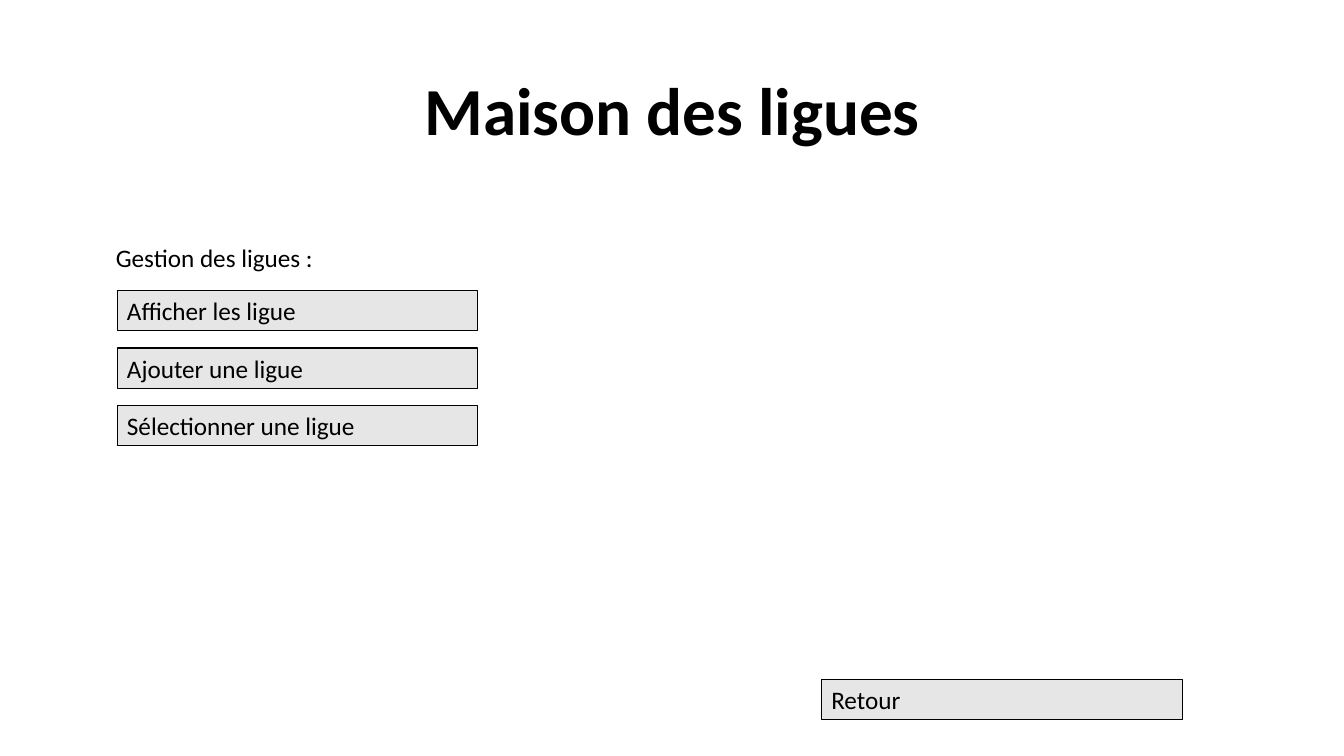
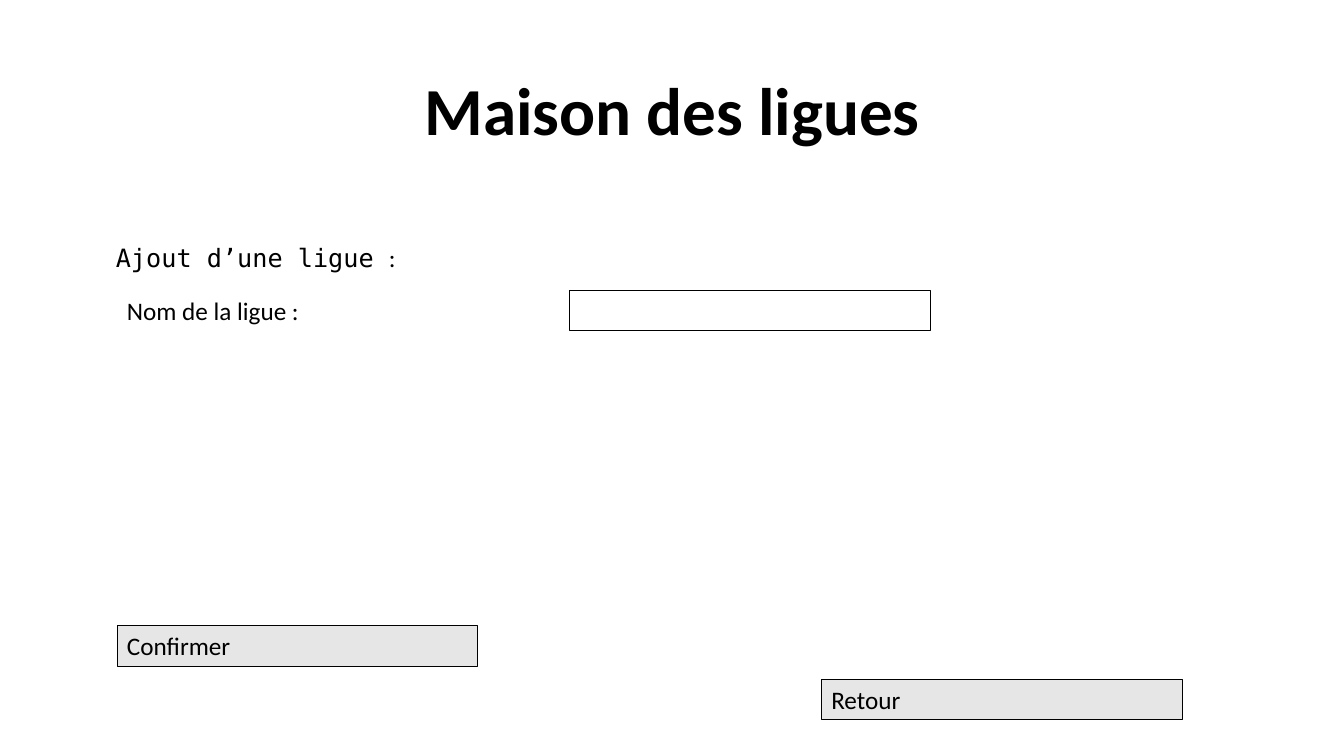
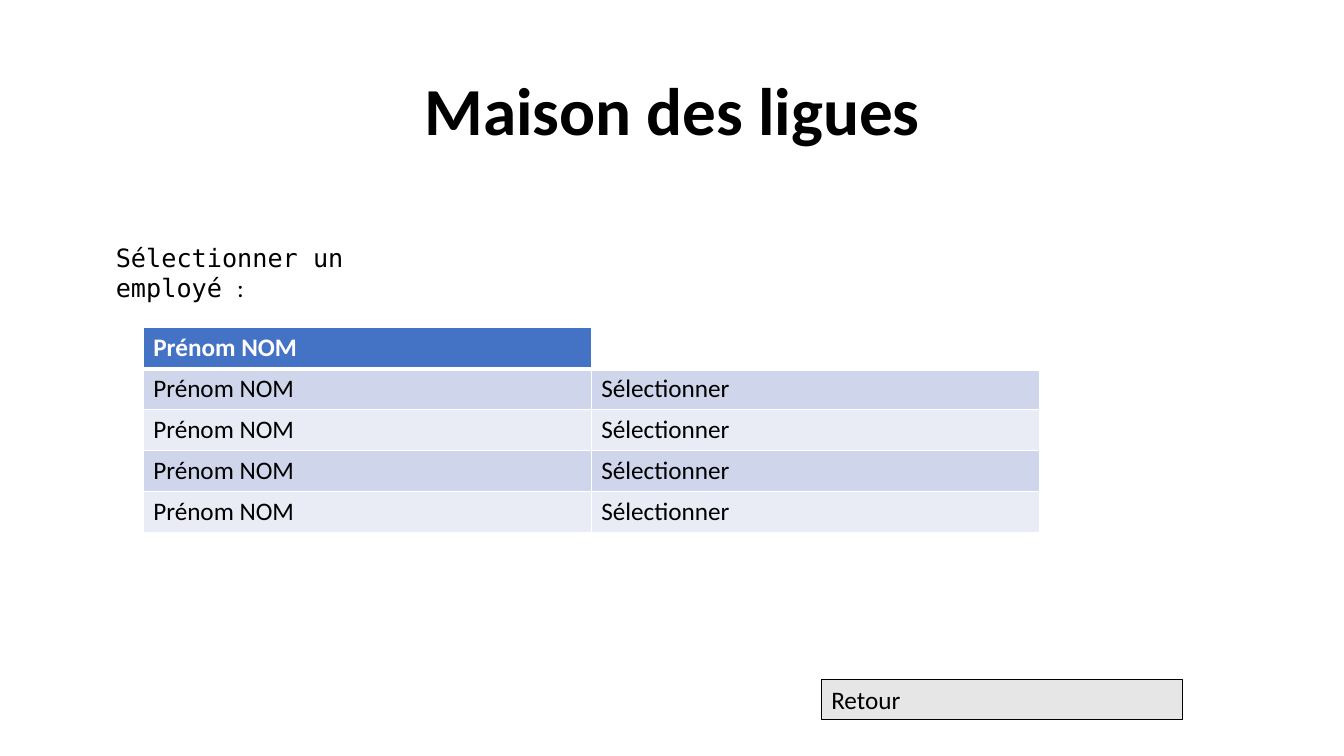
from pptx import Presentation
from pptx.dml.color import RGBColor
from pptx.enum.shapes import MSO_SHAPE
from pptx.enum.text import MSO_ANCHOR, MSO_AUTO_SIZE, PP_ALIGN
from pptx.oxml import parse_xml
from pptx.oxml.ns import nsdecls
from pptx.util import Cm, Pt

SANS, MONO = "Calibri", "DejaVu Sans Mono"
BLACK, WHITE, GREY = "000000", "FFFFFF", "E7E6E6"
HEADER, BANDS = "4472C4", ("CFD5EA", "E9EBF5")

BODY = dict(name=SANS, size=Pt(18), bold=False)
TITLE = dict(name=SANS, size=Pt(48), bold=True)

LEFT, TOP = 2.95, 7.32
BOX_W, BOX_H = 9.09, 1.02
PITCH = 1.45


def rgb(color):
    return RGBColor.from_string(color)


def add_run(p, text, color=BLACK, **changes):
    r = p.add_run()
    r.text = text
    for key, value in {**BODY, **changes}.items():
        setattr(r.font, key, value)
    r.font.color.rgb = rgb(color)


def add_box(s, x, y, text="", fill=GREY, line=BLACK):
    """Add a one-line rectangle: button, label or input field."""
    box = s.shapes.add_shape(MSO_SHAPE.RECTANGLE, Cm(x), Cm(y), Cm(BOX_W), Cm(BOX_H))
    box.shadow.inherit = False
    box.fill.solid()
    box.fill.fore_color.rgb = rgb(fill)
    if line:
        box.line.color.rgb = rgb(line)
        box.line.width = Pt(0.75)
    else:
        box.line.fill.background()
    tf = box.text_frame
    tf.vertical_anchor = MSO_ANCHOR.TOP
    p = tf.paragraphs[0]
    p.alignment = PP_ALIGN.LEFT
    if text:
        add_run(p, text)


def add_title(s, x, y, w, h):
    sp = s.shapes.title
    sp.left, sp.top, sp.width, sp.height = Cm(x), Cm(y), Cm(w), Cm(h)
    tf = sp.text_frame
    tf.auto_size = MSO_AUTO_SIZE.NONE
    tf.vertical_anchor = MSO_ANCHOR.MIDDLE
    p = tf.paragraphs[0]
    p.alignment = PP_ALIGN.CENTER
    p.line_spacing = 0.9
    add_run(p, "Maison des ligues", **TITLE)


def add_heading(s, x, y, text, font):
    sp = s.shapes.add_textbox(Cm(x), Cm(y), Cm(BOX_W), Cm(BOX_H))
    tf = sp.text_frame
    tf.word_wrap = True
    p = tf.paragraphs[0]
    add_run(p, text + " ", name=font)
    add_run(p, ":")


def add_screen(prs, heading, font=MONO):
    """Add a slide with the shared title, heading and return button."""
    s = prs.slides.add_slide(prs.slide_layouts[5])
    add_title(s, 2.34, 1.02, 29.21, 3.68)
    add_heading(s, 2.67, 5.97, heading, font)
    add_box(s, 20.7, 17.12, "Retour")
    return s


def format_cell(cell, text, fill, color, bold, bottom):
    tcPr = cell._tc.get_or_add_tcPr()
    for side, width in dict(L=1, R=1, T=1, B=bottom).items():
        tcPr.append(parse_xml(
            f'<a:ln{side} {nsdecls("a")} w="{Pt(width)}"><a:solidFill>'
            f'<a:srgbClr val="{WHITE}"/></a:solidFill></a:ln{side}>'))
    cell.fill.solid()
    cell.fill.fore_color.rgb = rgb(fill)
    if text:
        add_run(cell.text_frame.paragraphs[0], text, color, bold=bold)


def add_employee_table(s, x, y, col_w, row_h, rows):
    n_rows, n_cols = len(rows), len(rows[0])
    table = s.shapes.add_table(n_rows, n_cols, Cm(x), Cm(y),
                               Cm(col_w * n_cols), Cm(row_h * n_rows)).table
    for i, row in enumerate(rows):
        header = i == 0
        for j, text in enumerate(row):
            if header:
                fill = HEADER if text else WHITE
            else:
                fill = BANDS[(i - 1) % 2]
            format_cell(table.cell(i, j), text, fill,
                        WHITE if header else BLACK, header, 3 if header else 1)


def menu_slide(prs):
    s = add_screen(prs, "Gestion des ligues", SANS)
    actions = ("Afficher les ligue", "Ajouter une ligue", "Sélectionner une ligue")
    for i, action in enumerate(actions):
        add_box(s, LEFT, TOP + i * PITCH, action)


def form_slide(prs):
    s = add_screen(prs, "Ajout d’une ligue")
    add_box(s, LEFT, TOP, "Nom de la ligue :", fill=WHITE, line=None)
    add_box(s, 14.35, TOP, fill=WHITE)
    add_box(s, LEFT, 15.77, "Confirmer")


def selection_slide(prs):
    s = add_screen(prs, "Sélectionner un employé")
    rows = [("Prénom NOM", "")] + [("Prénom NOM", "Sélectionner")] * 4
    add_employee_table(s, 3.61, 8.26, 11.29, 1.03, rows)


def main():
    prs = Presentation()
    prs.slide_width, prs.slide_height = Cm(33.87), Cm(19.05)
    for build in (menu_slide, form_slide, selection_slide):
        build(prs)
    prs.save("out.pptx")


if __name__ == "__main__":
    main()
